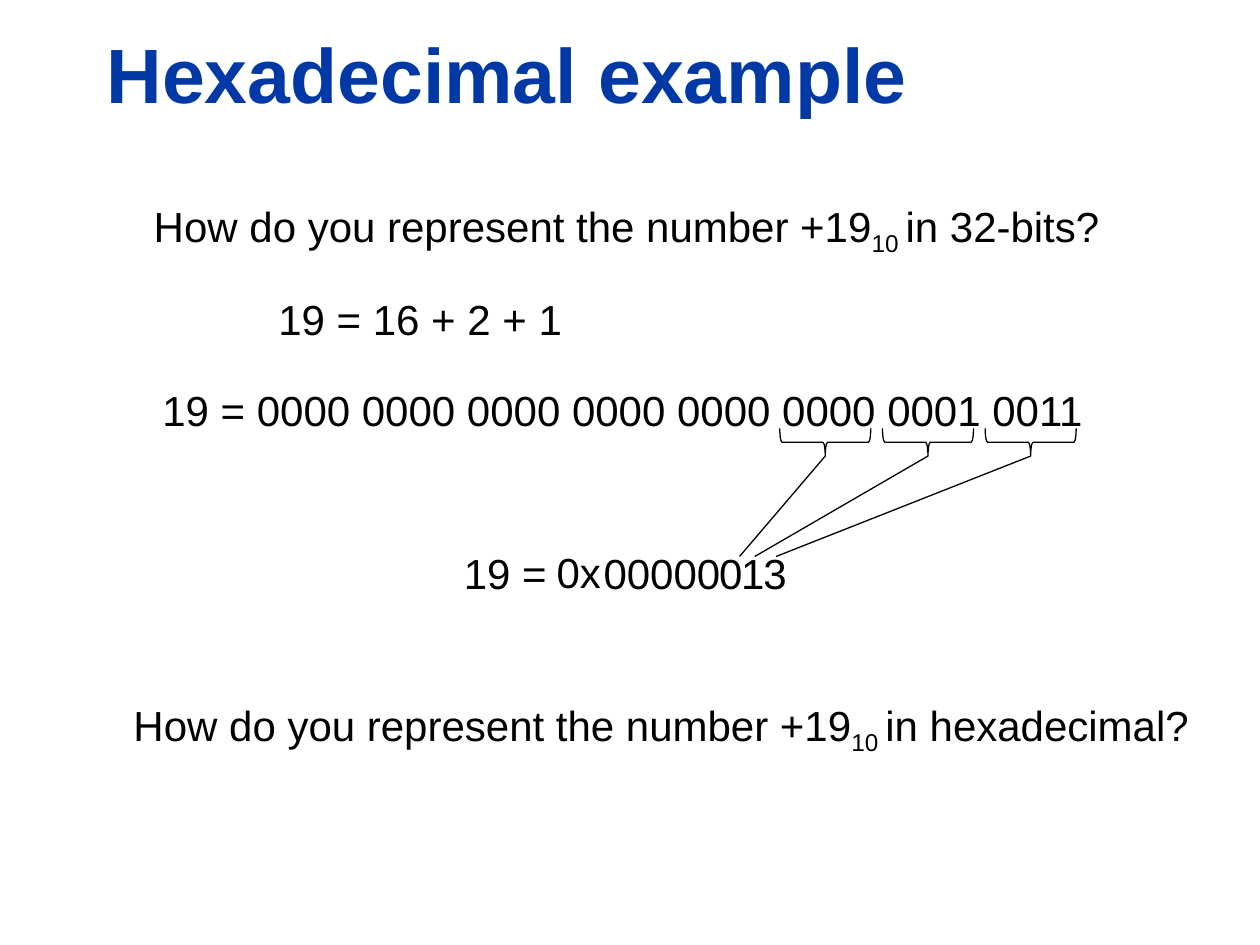
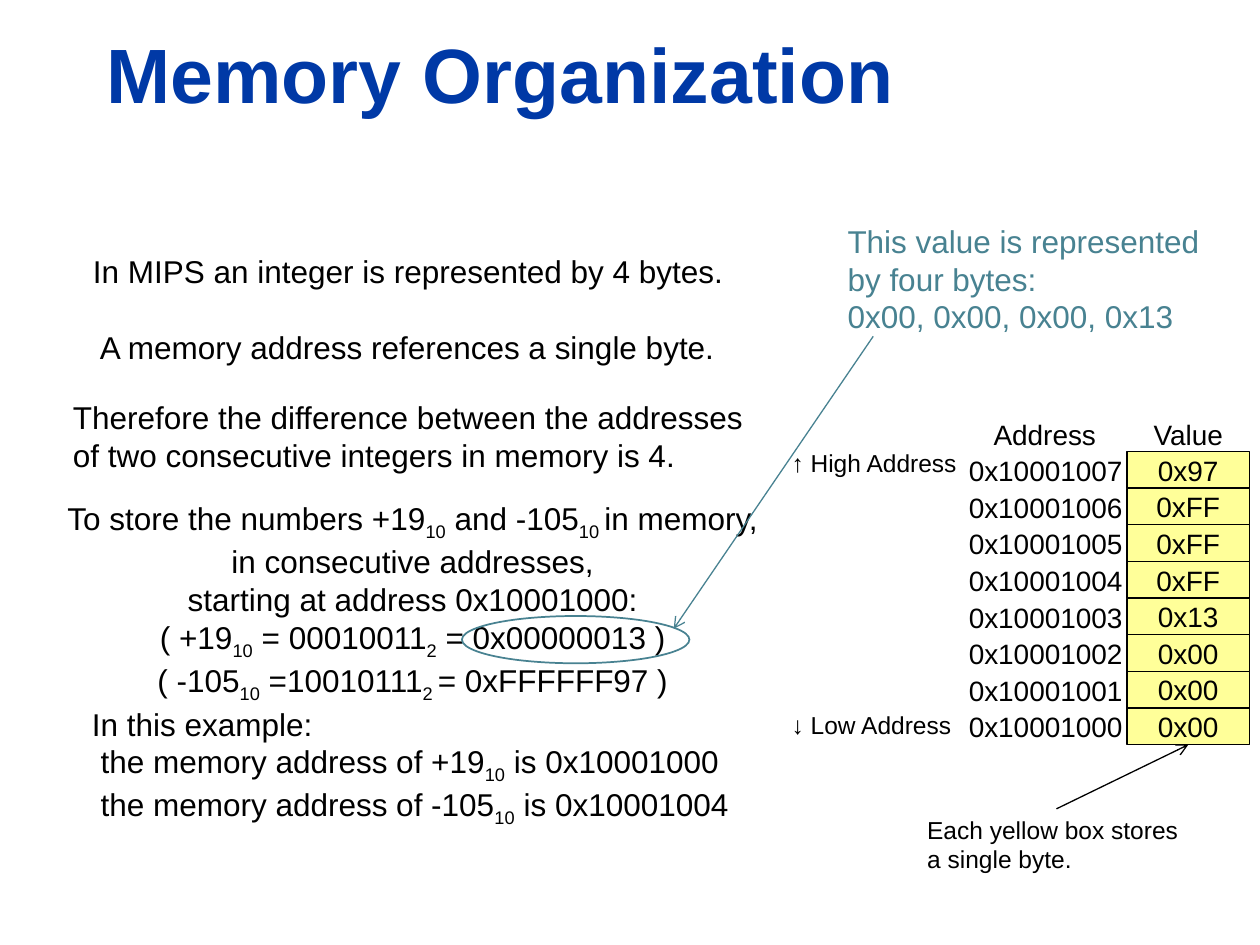
from dataclasses import dataclass

from lxml import etree
from pptx import Presentation
from pptx.dml.color import RGBColor
from pptx.enum.shapes import MSO_CONNECTOR, MSO_SHAPE
from pptx.enum.text import MSO_ANCHOR, MSO_AUTO_SIZE, PP_ALIGN
from pptx.oxml.ns import qn
from pptx.util import Pt

LEFT, CENTER = PP_ALIGN.LEFT, PP_ALIGN.CENTER
TOP, MIDDLE, BOTTOM = MSO_ANCHOR.TOP, MSO_ANCHOR.MIDDLE, MSO_ANCHOR.BOTTOM
NO_FIT, GROW = MSO_AUTO_SIZE.NONE, MSO_AUTO_SIZE.SHAPE_TO_FIT_TEXT
STRAIGHT = MSO_CONNECTOR.STRAIGHT
RECT, OVAL, BRACE = MSO_SHAPE.RECTANGLE, MSO_SHAPE.OVAL, MSO_SHAPE.LEFT_BRACE

FONT = "Arial"
BLACK, BLUE, TEAL, YELLOW = "000000", "0039A6", "488291", "FFFF99"
TITLE_ONLY = 5
SITE_TOP, SITE_BOTTOM = 0, 2


@dataclass
class Label:
    """Text in a box, in points; pieces between ~ marks are subscripts."""
    x: float
    y: float
    w: float
    h: float
    text: str
    size: float = 24
    color: str = BLACK
    align: int = LEFT
    anchor: int = TOP
    later_indent: float = 0


def rgb(value: str) -> RGBColor:
    return RGBColor.from_string(value)


def write(tf, text: str, size: float, color: str, align=LEFT,
          bold: bool = False, later_indent: float = 0) -> None:
    for i, line in enumerate(text.split("\n")):
        p = tf.paragraphs[0] if i == 0 else tf.add_paragraph()
        p.alignment = align
        if i and later_indent:
            p._p.get_or_add_pPr().set("marL", str(Pt(later_indent)))
        for j, piece in enumerate(line.split("~")):
            r = p.add_run()
            r.text = piece
            r.font.name, r.font.size, r.font.bold = FONT, Pt(size), bold
            r.font.color.rgb = rgb(color)
            if j % 2:
                r._r.get_or_add_rPr().set("baseline", "-25000")


def add_label(slide, label: Label):
    sp = slide.shapes.add_textbox(Pt(label.x), Pt(label.y), Pt(label.w), Pt(label.h))
    tf = sp.text_frame
    tf.word_wrap, tf.auto_size = False, GROW
    tf.vertical_anchor = label.anchor
    write(tf, label.text, label.size, label.color, label.align,
          later_indent=label.later_indent)
    return sp


def add_shape(slide, kind, x: float, y: float, w: float, h: float,
              line: str = BLACK, width: float = 0.75, fill: str = ""):
    sp = slide.shapes.add_shape(kind, Pt(x), Pt(y), Pt(w), Pt(h))
    sp.shadow.inherit = False
    sp.line.color.rgb, sp.line.width = rgb(line), Pt(width)
    if fill:
        sp.fill.solid()
        sp.fill.fore_color.rgb = rgb(fill)
    else:
        sp.fill.background()
    return sp


def add_line(slide, x1: float, y1: float, x2: float, y2: float,
             color: str = BLACK, arrow: bool = False):
    cx = slide.shapes.add_connector(STRAIGHT, Pt(x1), Pt(y1), Pt(x2), Pt(y2))
    cx.line.color.rgb, cx.line.width = rgb(color), Pt(0.75)
    if arrow:
        etree.SubElement(cx.line._get_or_add_ln(), qn("a:tailEnd"), type="arrow")
    etree.SubElement(cx._element.spPr, qn("a:effectLst"))
    return cx


def add_slide(prs, title: str):
    slide = prs.slides.add_slide(prs.slide_layouts[TITLE_ONLY])
    sp = slide.shapes.title
    sp.left, sp.top, sp.width, sp.height = Pt(53.7), Pt(11.5), Pt(650), Pt(60)
    tf = sp.text_frame
    tf.word_wrap, tf.auto_size, tf.vertical_anchor = True, NO_FIT, BOTTOM
    write(tf, title, 44, BLUE, bold=True)
    return slide


def build_hexadecimal(prs) -> None:
    slide = add_slide(prs, "Hexadecimal example")
    for label in (
        Label(80.8, 111, 560, 40, "How do you represent the number +19~10 ~in 32-bits?"),
        Label(152, 164, 180, 36, "19 = 16 + 2 + 1"),
        Label(85.7, 216, 546, 36, "19 = 0000 0000 0000 0000 0000 0000 0001 0011"),
        Label(69.2, 396, 622, 40, "How do you represent the number +19~10 ~in hexadecimal?"),
        Label(258, 309.6, 68, 36, "19 ="),
        Label(311, 308.9, 42, 36, "0x"),
        Label(337.8, 309.6, 86, 36, "00000"),
    ):
        add_label(slide, label)

    # Each group of four bits leads to its hexadecimal digit
    brace_w, brace_h, mid_y = 15.8, 52, 252.7
    for i, (digit, end_x) in enumerate((("0", 422.6), ("1", 431.3), ("3", 443.5))):
        tip_x = 471.6 + 58.7 * i
        add_label(slide, Label(403.9 + 12.6 * i, 309.6, 30, 36, digit))
        brace = add_shape(slide, BRACE, tip_x - brace_w / 2, mid_y - brace_h / 2,
                          brace_w, brace_h)
        brace.rotation = 270
        add_line(slide, tip_x, mid_y + brace_w / 2, end_x, 318)


def build_memory(prs) -> None:
    slide = add_slide(prs, "Memory Organization")

    # Memory column, highest address first
    row_h = 20.95
    values = ("0x97", "0xFF", "0xFF", "0xFF", "0x13", "0x00", "0x00", "0x00")
    for i, value in enumerate(values):
        box = add_shape(slide, RECT, 644, 258 + row_h * i, 70, row_h, fill=YELLOW)
        tf = box.text_frame
        tf.word_wrap, tf.vertical_anchor = False, MIDDLE
        write(tf, value, 16, BLACK, CENTER)
        address = f"0x1000100{len(values) - 1 - i}"
        add_label(slide, Label(545.5, 255.4 + row_h * i, 104, 26.6, address, 16,
                               align=CENTER, anchor=MIDDLE))

    # Column heads and ends of the address range
    for x, y, w, h, text, size in (
        (560, 234.7, 74, 26.6, "Address", 16),
        (651, 234.7, 56, 26.6, "Value", 16),
        (443.5, 252, 112, 24.5, "↑ High Address", 14),
        (443.5, 401.8, 109, 24.5, "↓ Low Address", 14),
    ):
        add_label(slide, Label(x, y, w, h, text, size, align=CENTER, anchor=MIDDLE))

    # Explanation
    for x, y, w, h, text, align, indent in (
        (46, 140.4, 378, 28.8, "In MIPS an integer is represented by 4 bytes.", LEFT, 0),
        (50, 183.6, 370, 28.8, "A memory address references a single byte.", LEFT, 0),
        (34.6, 224, 402, 50.4, "Therefore the difference between the addresses\n"
         "of two consecutive integers in memory is 4.", LEFT, 0),
        (27.8, 281.5, 416, 124.6, "To store the numbers +19~10~ and -105~10 ~in memory,\n"
         "in consecutive addresses,\n"
         "starting at address 0x10001000:\n"
         "( +19~10~ = 00010011~2~ = 0x00000013 )\n"
         "( -105~10~ =10010111~2 ~= 0xFFFFFF97 )", CENTER, 0),
        (45.4, 399, 382, 77.8, "In this example:\n"
         "the memory address of +19~10~ is 0x10001000\n"
         "the memory address of -105~10~ is 0x10001004", LEFT, 5),
    ):
        add_label(slide, Label(x, y, w, h, text, 18, align=align, anchor=MIDDLE,
                               later_indent=indent))

    # Note on one byte, joined to the lowest box
    note = add_label(slide, Label(522.7, 462.2, 162, 41,
                                  "Each yellow box stores\na single byte.", 14))
    arrow = add_line(slide, 603.7, 462.2, 679, 425.6, arrow=True)
    arrow.begin_connect(note, SITE_TOP)
    arrow.end_connect(box, SITE_BOTTOM)

    # Note on the four bytes of the circled value
    add_label(slide, Label(477.2, 123.2, 220, 72, "This value is represented\n"
                           "by four bytes:\n0x00, 0x00, 0x00, 0x13", 18, TEAL))
    add_shape(slide, OVAL, 264, 352, 130, 27, TEAL, 1)
    add_line(slide, 499, 192.2, 385, 359.3, TEAL, arrow=True)


def main() -> None:
    prs = Presentation()
    prs.slide_width, prs.slide_height = Pt(720), Pt(540)
    build_hexadecimal(prs)
    build_memory(prs)
    prs.save("out.pptx")


if __name__ == "__main__":
    main()
